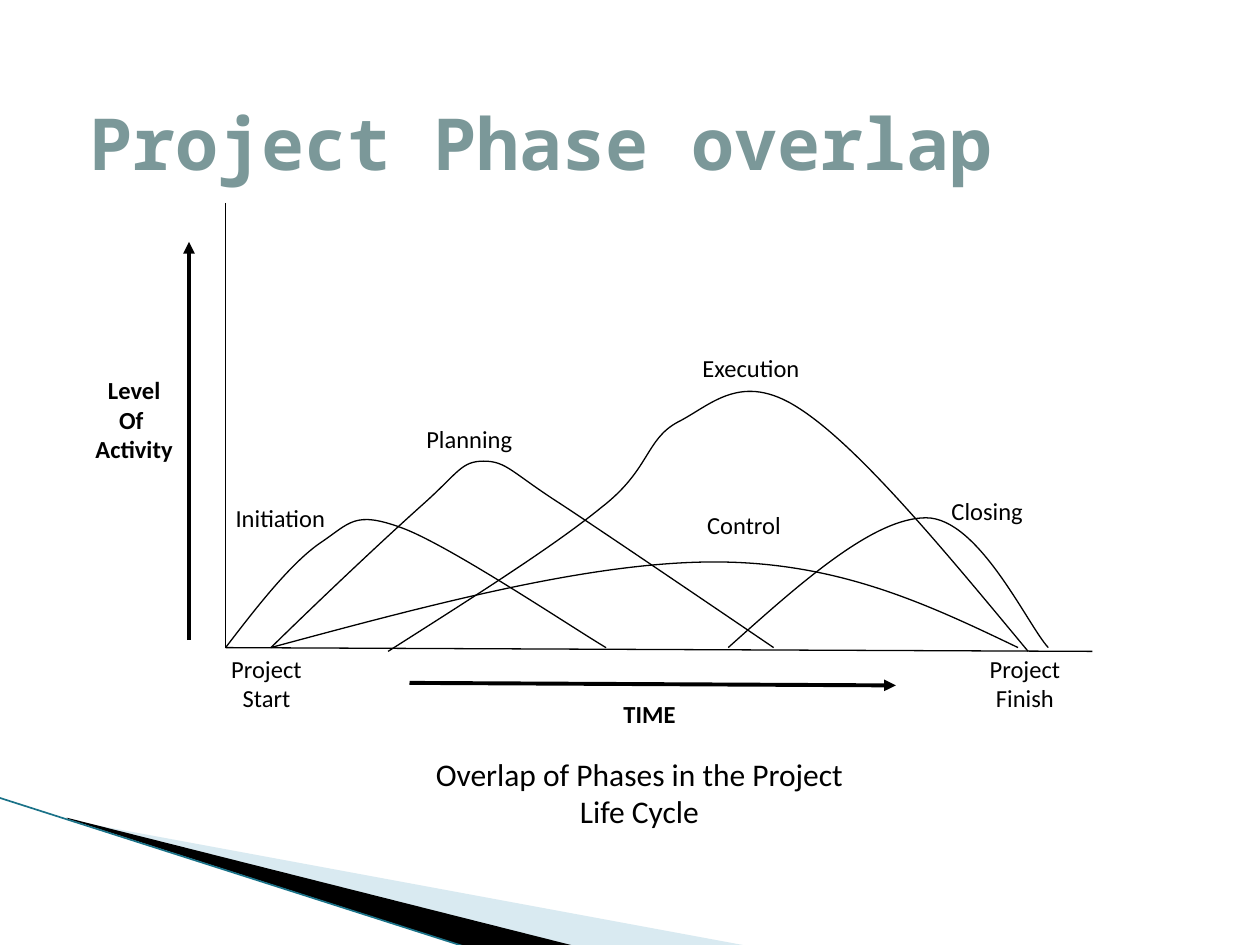
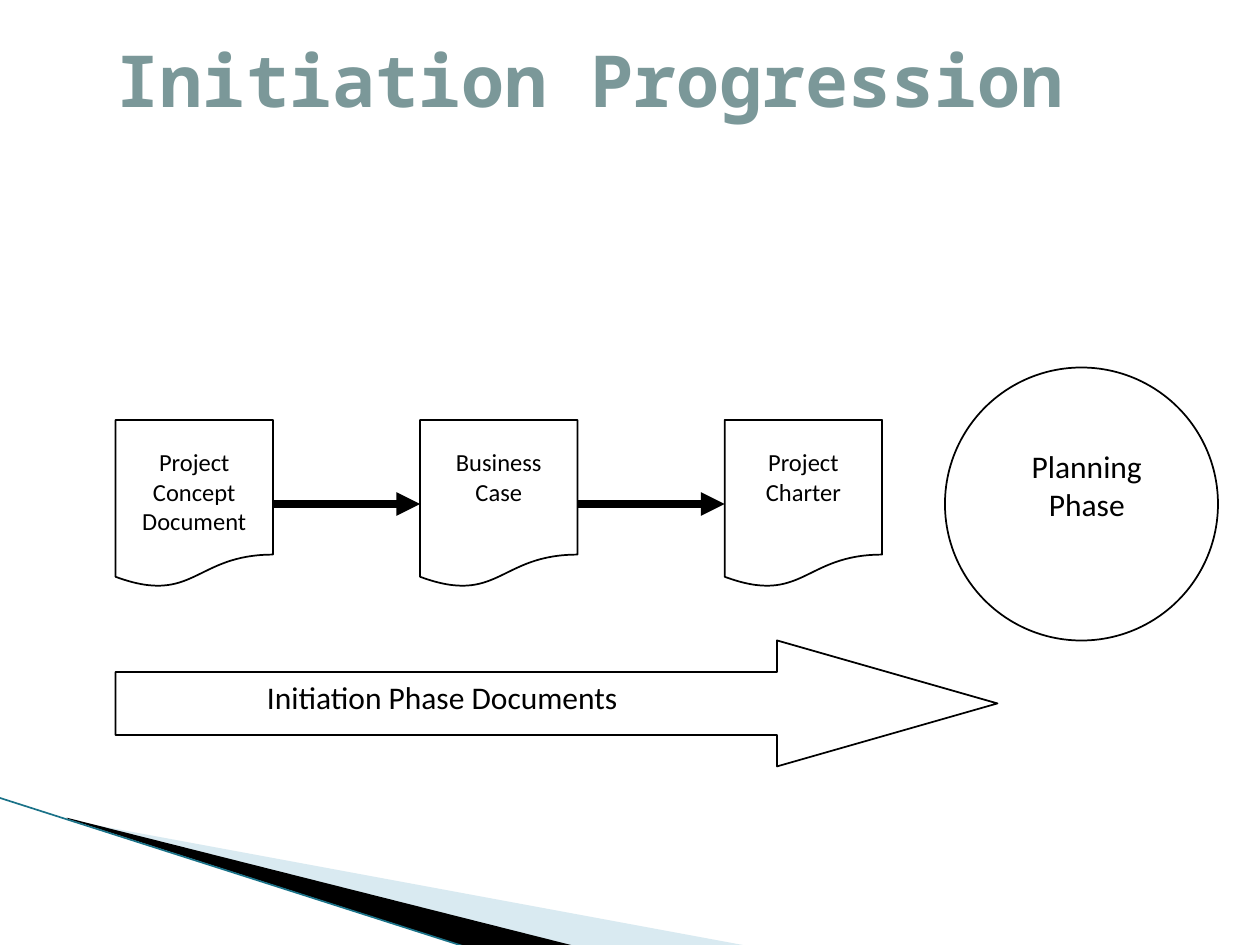
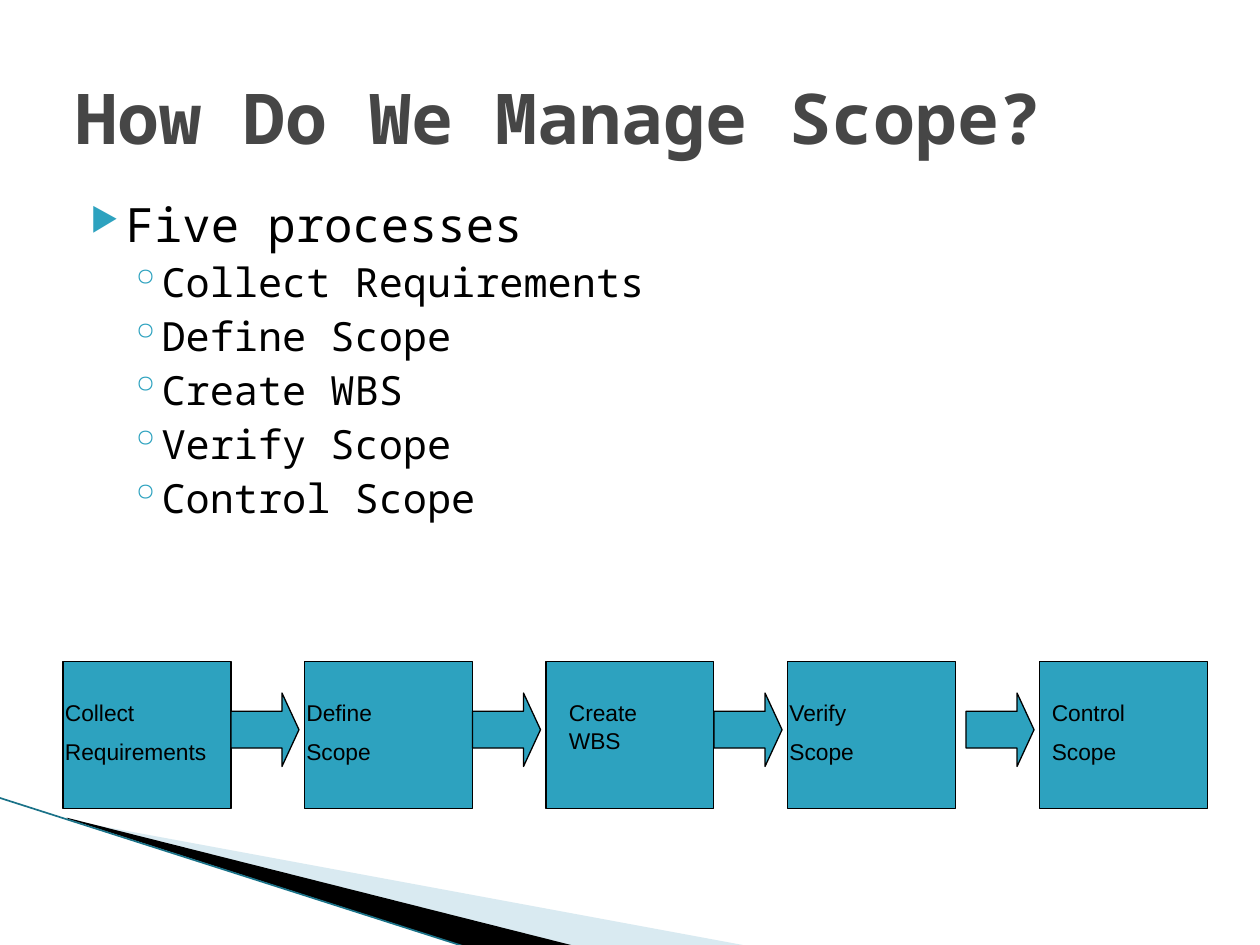
from lxml import etree
from pptx import Presentation
from pptx.dml.color import RGBColor
from pptx.enum.shapes import MSO_CONNECTOR, MSO_SHAPE
from pptx.enum.text import MSO_ANCHOR, PP_ALIGN
from pptx.oxml.ns import qn
from pptx.util import Inches, Pt

STRAIGHT = MSO_CONNECTOR.STRAIGHT
DOCUMENT = MSO_SHAPE.FLOWCHART_DOCUMENT
RIGHT_ARROW = MSO_SHAPE.RIGHT_ARROW
CIRCLE = MSO_SHAPE.OVAL
RECTANGLE = MSO_SHAPE.RECTANGLE
LEFT, CENTER = PP_ALIGN.LEFT, PP_ALIGN.CENTER
TOP, MIDDLE = MSO_ANCHOR.TOP, MSO_ANCHOR.MIDDLE

COLORS = {
    "black": "000000",
    "sage": "7B9899",
    "gray": "464646",
    "teal": "2DA2BF",
    "pale": "A0CBDC",
    "edge": "1A7288",
}
MONO, SANS, PLAIN = "Noto Sans Mono", "Calibri", "Arial"

# The page is a grid of 100 columns by 75 rows.
COLUMNS, ROWS = 100, 75
CELL = Inches(10) // COLUMNS


def style(shape, line="black", weight=0.75, fill=None, arrow=False):
    """Set outline, fill and arrowhead, and drop the shadow."""
    if line:
        shape.line.color.rgb = RGBColor.from_string(COLORS[line])
        shape.line.width = Pt(weight)
    else:
        shape.line.fill.background()
    properties = shape.element.spPr
    if arrow:
        etree.SubElement(properties.find(qn("a:ln")), qn("a:tailEnd"), type="triangle")
    if not hasattr(shape, "fill"):  # a connector
        etree.SubElement(properties, qn("a:effectLst"))
        return
    shape.shadow.inherit = False
    if fill:
        shape.fill.solid()
        shape.fill.fore_color.rgb = RGBColor.from_string(COLORS[fill])
    else:
        shape.fill.background()


def add_label(shapes, place, text, size=14, font=SANS, color="black", bold=False,
              align=CENTER, anchor=TOP, gap=0):
    """Add a wrapped text box at a grid place and return its text frame."""
    frame = shapes.add_textbox(*[round(v * CELL) for v in place]).text_frame
    frame.word_wrap = True
    frame.vertical_anchor = anchor
    frame.text = text
    for index, para in enumerate(frame.paragraphs):
        para.alignment = align
        if index:
            para.space_before = Pt(gap)
        for span in para.runs:
            span.font.size = Pt(size)
            span.font.name = font
            span.font.bold = bold
            span.font.color.rgb = RGBColor.from_string(COLORS[color])
    return frame


deck = Presentation()
deck.slide_width = COLUMNS * CELL
deck.slide_height = ROWS * CELL

# Shared: corner bands and title on every slide
BANDS = [
    ("pale", [(5.5, 65.1), (59.5, 75.1), (45.6, 75.1), (5.5, 65)]),
    ("black", [(5.3, 64.9), (45.7, 75.1), (37.2, 75.2), (5.4, 65)]),
]
TITLES = [
    ("Project Phase overlap", (6.1, 5, 90, 12.5), 41, "sage"),
    ("Initiation Progression", (8.3, 0, 85, 12.5), 41, "sage"),
    ("How Do We Manage Scope?", (5, 3, 90, 12.5), 40, "gray"),
]
pages = []
for title, place, size, color in TITLES:
    page = deck.slides.add_slide(deck.slide_layouts[6])
    for fill, corners in BANDS:
        points = [(x * CELL, y * CELL) for x, y in corners]
        builder = page.shapes.build_freeform(*points[0])
        builder.add_line_segments(points[1:], close=True)
        band = builder.convert_to_shape()
        style(band, line=None, fill=fill)
        if fill == "pale":
            tint = band.element.spPr.find(qn("a:solidFill"))[0]
            etree.SubElement(tint, qn("a:alpha"), val="40000")
    edge = page.shapes.add_connector(
        STRAIGHT, *[round(v * CELL) for v in (-0.1, 63.3, 37.1, 75.2)])
    style(edge, "edge", 0.95)
    add_label(page.shapes, place, title, size, MONO, color, True, LEFT, MIDDLE)
    pages.append(page)
overlap, progression, scope = pages

# Slide 1: activity curves over time
AXES_AND_ARROWS = [
    ((17.9, 16.1, 17.9, 51.4), False),
    ((17.9, 51.4, 86.7, 51.7), False),
    ((15, 50.8, 15, 19.2), True),
    ((32.5, 54.2, 71.1, 54.4), True),
]
for ends, arrow in AXES_AND_ARROWS:
    line = overlap.shapes.add_connector(STRAIGHT, *[round(v * CELL) for v in ends])
    style(line, weight=2.25 if arrow else 0.75, arrow=arrow)

# Each curve: a start point, then three Bezier points per piece
INITIATION = [(17.9, 51.4), (20.5, 48), (23.1, 44.7), (25.4, 43.1),
              (27.8, 41.5), (28.1, 40.5), (31.9, 41.9),
              (35.7, 43.3), (45.4, 49.8), (48.1, 51.4)]
PLANNING = [(21.5, 51.4), (26.1, 46.9), (30.8, 42.5), (33.6, 40),
            (36.4, 37.5), (36.6, 36.6), (38.4, 36.6),
            (40.2, 36.6), (40.6, 37.5), (44.5, 40),
            (48.3, 42.5), (58.6, 49.5), (61.4, 51.4)]
EXECUTION = [(30.8, 51.7), (37.4, 47.5), (43.9, 43.4), (47.7, 40.3),
             (51.6, 37.3), (51.2, 34.9), (53.8, 33.5),
             (56.4, 32.2), (58.8, 29.4), (63.4, 32.4),
             (68.1, 35.4), (74.8, 43.5), (81.6, 51.7)]
CONTROL = [(21.5, 51.4), (34.1, 48), (46.8, 44.6), (56.7, 44.6),
           (66.6, 44.6), (73.7, 48), (80.8, 51.4)]
CLOSING = [(57.8, 51.4), (63.5, 46.3), (69.3, 41.1), (73.5, 41.1),
           (77.7, 41.1), (81.6, 49.7), (83.2, 51.4)]
for knots in (INITIATION, PLANNING, EXECUTION, CONTROL, CLOSING):
    points = [(x * CELL, y * CELL) for x, y in knots]
    builder = overlap.shapes.build_freeform(*points[0])
    builder.add_line_segments(points[1:], close=False)
    curve = builder.convert_to_shape()
    style(curve)
    outline = next(curve.element.iter(qn("a:path")))
    segments = outline.findall(qn("a:lnTo"))
    for first in range(0, len(segments), 3):
        bend = etree.SubElement(outline, qn("a:cubicBezTo"))
        for segment in segments[first:first + 3]:
            bend.append(segment[0])
            outline.remove(segment)

CHART_LABELS = [
    ("Initiation", (17.4, 39.4, 9.7, 3.4), False),
    ("Planning", (32.4, 33.2, 9.7, 3.4), False),
    ("Execution", (54.2, 27.5, 10.8, 3.4), False),
    ("Control", (54.2, 40, 9.7, 3.4), False),
    ("Closing", (73.5, 38.9, 9.7, 3.4), False),
    ("Project\nStart", (16.6, 51.4, 9.1, 4.6), False),
    ("Project\nFinish", (77.1, 51.4, 8.5, 4.6), False),
    ("TIME", (46.7, 55, 9.7, 3.4), True),
    ("Level\nOf \nActivity", (5.8, 29.3, 9.7, 6.8), True),
]
for text, place, bold in CHART_LABELS:
    add_label(overlap.shapes, place, text, bold=bold)
add_label(overlap.shapes, (32.4, 59.4, 36.7, 9),
          "Overlap of Phases in the Project Life Cycle", 18)

# Slide 2: three documents lead to the planning phase
phase_arrow = progression.shapes.add_shape(
    RIGHT_ARROW, *[round(v * CELL) for v in (9.17, 50.83, 70, 10)])
phase_arrow.adjustments[0] = 0.5
phase_arrow.adjustments[1] = 1.75
style(phase_arrow, weight=1)
add_label(progression.shapes, (20.2, 53.3, 38.8, 5), "Initiation Phase Documents",
          18, align=LEFT)

DOCUMENT_LEFT, DOCUMENT_STEP, DOCUMENT_WIDTH = 9.17, 24.17, 12.5
STAGES = [(DOCUMENT, (DOCUMENT_LEFT + index * DOCUMENT_STEP, 33.33, DOCUMENT_WIDTH, 13.33),
           (DOCUMENT_LEFT + index * DOCUMENT_STEP, 35, DOCUMENT_WIDTH, 8), name, 14)
          for index, name in enumerate(
              ["Project Concept Document", "Business Case", "Project Charter"])]
STAGES.append((CIRCLE, (75, 29.17, 21.67, 21.67), (79.17, 35, 14.17, 9),
               "Planning Phase", 18))
for kind, place, text_place, name, size in STAGES:
    stage = progression.shapes.add_group_shape().shapes
    style(stage.add_shape(kind, *[round(v * CELL) for v in place]), weight=1)
    add_label(stage, text_place, name, size)
for index in range(2):
    start = DOCUMENT_LEFT + DOCUMENT_WIDTH + index * DOCUMENT_STEP
    end = DOCUMENT_LEFT + (index + 1) * DOCUMENT_STEP
    link = progression.shapes.add_connector(
        STRAIGHT, *[round(v * CELL) for v in (start, 40, end, 40)])
    style(link, weight=4.5, arrow=True)

# Slide 3: bullet list and process chain
PROCESSES = ["Collect Requirements", "Define Scope", "Create WBS",
             "Verify Scope", "Control Scope"]
body = add_label(scope.shapes, (5, 15, 90, 36.7), "\n".join(["Five processes"] + PROCESSES),
                 23, MONO, align=LEFT)
for index, para in enumerate(body.paragraphs):
    sub = index > 0
    para.level = int(sub)
    para.space_before = Pt(3.2 if sub else 4)
    layout = para._p.get_or_add_pPr()
    layout.set("marL", str(Inches(0.68 if sub else 0.4)))
    layout.set("indent", str(Inches(-0.25 if sub else -0.28)))
    bullet_color = etree.SubElement(layout, qn("a:buClr"))
    etree.SubElement(bullet_color, qn("a:srgbClr"), val=COLORS["teal"])
    if not sub:
        etree.SubElement(layout, qn("a:buSzPct"), val="68000")
    etree.SubElement(layout, qn("a:buChar"), char="◦" if sub else "▶")
body.paragraphs[0].runs[0].font.size = Pt(27)

# Left edges of box, text and following arrow, and the text width
CHAIN = [
    (5, 4.17, 18.33, 14.17),
    (24.17, 23.33, 37.5, 14.17),
    (43.33, 44.17, 56.67, 11.67),
    (62.5, 61.67, 76.67, 14.17),
    (82.5, 82.5, None, 13.33),
]
chain = scope.shapes.add_group_shape().shapes
for name, (box_left, text_left, arrow_left, text_width) in zip(PROCESSES, CHAIN):
    box = chain.add_shape(
        RECTANGLE, *[round(v * CELL) for v in (box_left, 52.5, 13.33, 11.67)])
    style(box, fill="teal")
    if arrow_left:
        arrow = chain.add_shape(
            RIGHT_ARROW, *[round(v * CELL) for v in (arrow_left, 55, 5.4, 5.83)])
        arrow.adjustments[0] = 0.5
        arrow.adjustments[1] = 0.25
        style(arrow, fill="teal")
    # "Create WBS" is one wrapped paragraph, the others are two
    text = name if name == "Create WBS" else name.replace(" ", "\n")
    add_label(chain, (text_left, 55, text_width, 6.5), text, 13, PLAIN,
              align=LEFT, gap=6.5)

deck.save("out.pptx")
